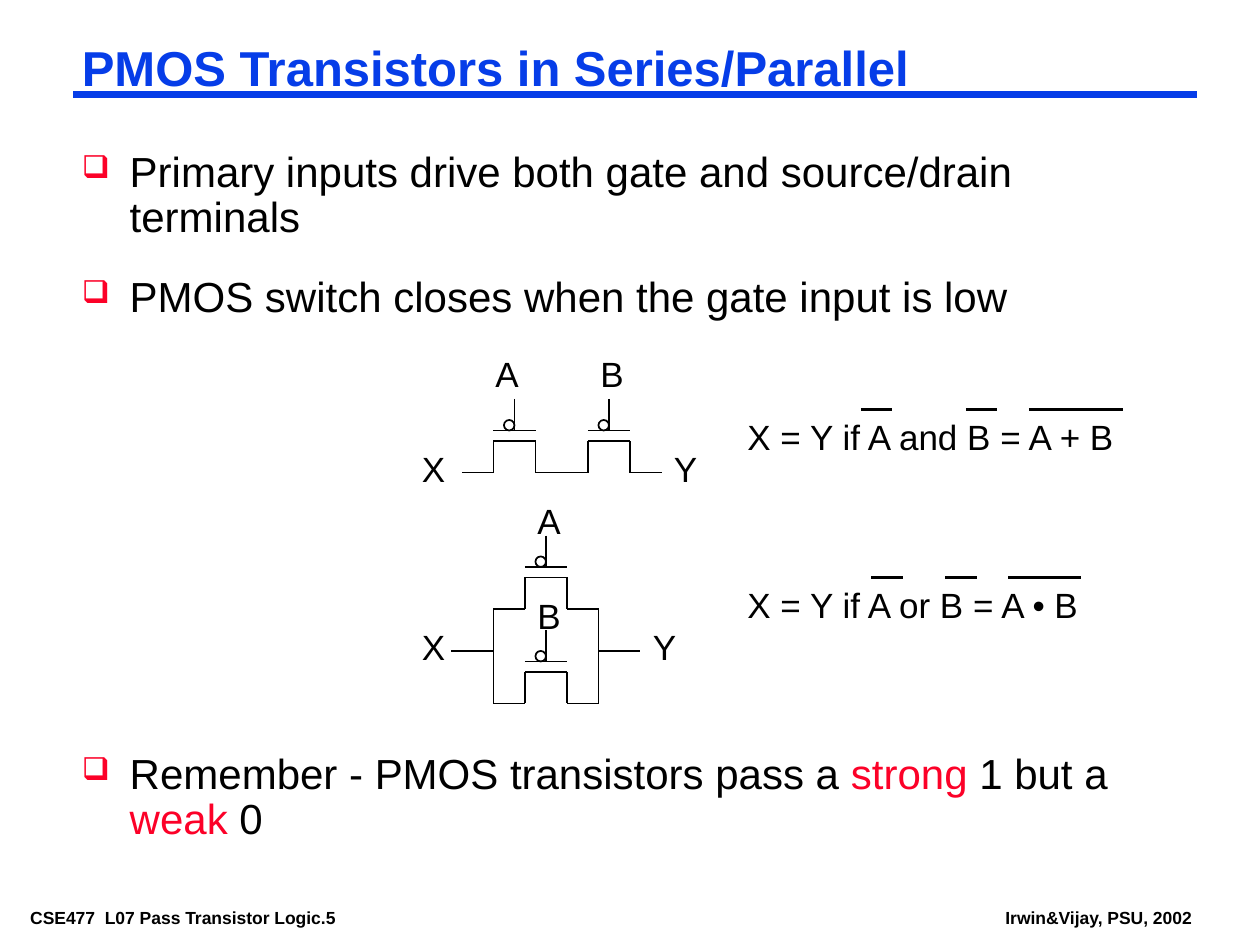
import pptx
import pptx.util
import pptx.dml.color
import pptx.enum.shapes
import pptx.enum.text
import pptx.oxml
import pptx.oxml.ns
from pptx.util import Inches

BLACK, BLUE, RED = "000000", "063DE8", "FC0128"
TITLE = "PMOS Transistors in Series/Parallel"
# Space before (pt) and (text, colour) runs of each bullet
BULLETS = [
    (0, [("Primary inputs drive both gate and source/drain terminals", BLACK)]),
    (19.5, [("PMOS switch closes when the gate input is low", BLACK)]),
    (246.5, [("Remember - PMOS transistors pass a ", BLACK), ("strong", RED),
             (" 1 but a ", BLACK), ("weak", RED), (" 0", BLACK)]),
]
# Footer text, left, width in inches
FOOTERS = [("CSE477  L07 Pass Transistor Logic.5", 0.17, 3.16),
           ("Irwin&Vijay, PSU, 2002", 7.91, 1.7)]

# The circuit lies on a grid of twelfths of an inch
GRID = 12
LABELS = [("A", 46, 33), ("B", 56, 33), ("X", 39, 42), ("Y", 63, 42),
          ("X", 39, 59), ("Y", 61, 59), ("A", 50, 47), ("B", 50, 56)]
EQUATIONS = [("X = Y if A and B = A + B", 70, 39, 43),
             ("X = Y if A or B = A • B", 70, 55, 40)]
OVERLINES = {39: [(82, 85), (92, 95), (98, 107)],
             55: [(83, 86), (90, 93), (96, 103)]}
PARALLEL_WIRES = [(47, 58, 47, 67), (57, 58, 57, 67),
                  (43, 62, 47, 62), (57, 62, 61, 62)]
TRANSISTORS = [(44, 38), (53, 38), (47, 51), (47, 60)]
# Gate lead, gate, channel, channel ends, source, drain
TRANSISTOR_LINES = [(5, 0, 5, 3), (3, 3, 7, 3), (3, 4, 7, 4), (3, 4, 3, 7),
                    (7, 4, 7, 7), (0, 7, 3, 7), (7, 7, 10, 7)]

deck = pptx.Presentation()
deck.slide_width, deck.slide_height = Inches(10), Inches(7.5)
slide = deck.slides.add_slide(deck.slide_layouts[6])


def rgb(value):
    return pptx.dml.color.RGBColor.from_string(value)


def grid(*units):
    return [Inches(unit / GRID) for unit in units]


def text_frame(left, top, width, height, margins=(0.07, 0.03)):
    frame = slide.shapes.add_textbox(left, top, width, height).text_frame
    frame.word_wrap = True
    frame.vertical_anchor = pptx.enum.text.MSO_ANCHOR.TOP
    frame.margin_left = frame.margin_right = Inches(margins[0])
    frame.margin_top = frame.margin_bottom = Inches(margins[1])
    return frame


def style(run, size, color=BLACK, bold=False):
    run.font.name = "Arial"
    run.font.size = pptx.util.Pt(size)
    run.font.bold = bold
    run.font.color.rgb = rgb(color)


def write(frame, text, size, color=BLACK, bold=False):
    frame.text = text
    style(frame.paragraphs[0].runs[0], size, color, bold)


def draw_line(shapes, ends, weight=1, color=BLACK):
    line = shapes.add_connector(pptx.enum.shapes.MSO_CONNECTOR.STRAIGHT, *grid(*ends))
    line.line.width = pptx.util.Pt(weight)
    line.line.color.rgb = rgb(color)
    properties = line._element.spPr
    properties.append(properties.makeelement(pptx.oxml.ns.qn("a:effectLst"), {}))


def add_bullet(paragraph):
    properties = paragraph._p.get_or_add_pPr()
    properties.set("marL", str(Inches(0.38)))
    properties.set("indent", str(-Inches(0.38)))
    for xml in (f'<a:buClr %s><a:srgbClr val="{RED}"/></a:buClr>',
                '<a:buSzPct %s val="75000"/>',
                '<a:buChar %s char="❑"/>'):
        properties.append(pptx.oxml.parse_xml(xml % pptx.oxml.ns.nsdecls("a")))


def draw_transistor(left, top):
    shapes = slide.shapes.add_group_shape().shapes
    for x1, y1, x2, y2 in TRANSISTOR_LINES:
        draw_line(shapes, (left + x1, top + y1, left + x2, top + y2))
    bubble = shapes.add_shape(pptx.enum.shapes.MSO_SHAPE.OVAL,
                              *grid(left + 4, top + 2, 1, 1))
    bubble.shadow.inherit = False
    bubble.fill.background()
    bubble.line.color.rgb = rgb(BLACK)
    bubble.line.width = pptx.util.Pt(1)


# Footer, title and title rule
for footer, left, width in FOOTERS:
    write(text_frame(Inches(left), Inches(7.17), Inches(width), Inches(0.22)),
          footer, 10, bold=True)
draw_line(slide.shapes, (7, 9, 114, 9), 4.5, BLUE)
title = text_frame(Inches(0.58), Inches(0.33), Inches(8.92), Inches(0.46))
write(title, TITLE, 28, BLUE, True)
title.paragraphs[0].line_spacing = 0.87

# Bullets
body = text_frame(Inches(0.58), Inches(1.17), Inches(8.5), Inches(5.55))
for index, (space, runs) in enumerate(BULLETS):
    bullet = body.add_paragraph() if index else body.paragraphs[0]
    bullet.line_spacing = 0.9
    bullet.space_before = pptx.util.Pt(space)
    add_bullet(bullet)
    for words, color in runs:
        run = bullet.add_run()
        run.text = words
        style(run, 24, color)

# Labels and equations
for text, left, top, width in [label + (4.7,) for label in LABELS] + EQUATIONS:
    write(text_frame(*grid(left, top, width, 5.3), margins=(0.1, 0.05)), text, 20)

# Circuits
for wire in PARALLEL_WIRES:
    draw_line(slide.shapes, wire)
for left, top in TRANSISTORS:
    draw_transistor(left, top)

# Negation bars over the equations
for y, spans in OVERLINES.items():
    for start, end in spans:
        draw_line(slide.shapes, (start, y, end, y), 2.25)

deck.save("out.pptx")
